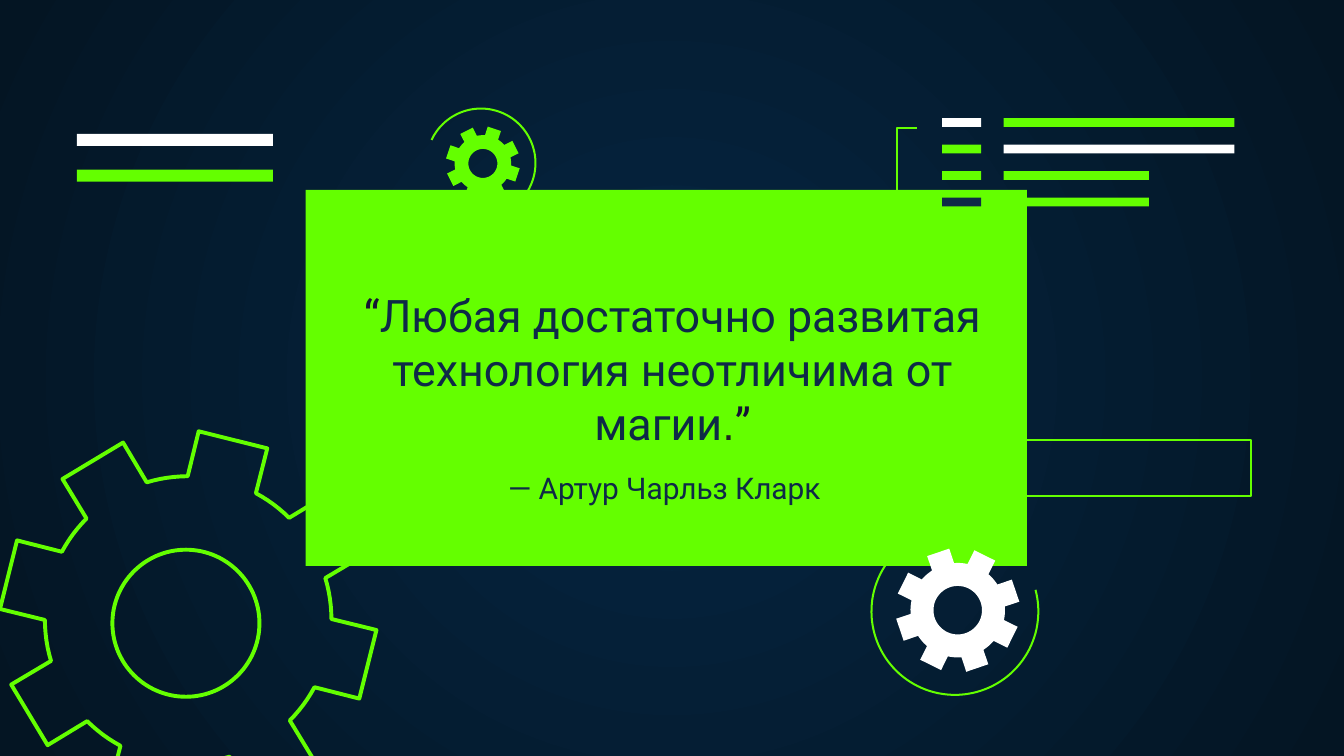
from math import cos, radians, sin

from lxml.etree import SubElement
from pptx import Presentation
from pptx.dml.color import RGBColor
from pptx.enum.shapes import MSO_SHAPE
from pptx.enum.text import MSO_ANCHOR, MSO_AUTO_SIZE, PP_ALIGN
from pptx.oxml.ns import qn
from pptx.util import Pt

GREEN, WHITE, NAVY = "64FF00", "FFFFFF", "0E2A47"
THIN = 1.09


def rgb(code):
    return RGBColor.from_string(code)


def paint(shape, fill=None, line=None, width=THIN):
    shape.shadow.inherit = False
    if fill:
        shape.fill.solid()
        shape.fill.fore_color.rgb = rgb(fill)
    else:
        shape.fill.background()
    if line:
        shape.line.color.rgb = rgb(line)
        shape.line.width = Pt(width)
    else:
        shape.line.fill.background()


def add_rectangle(slide, left, top, width, height, **style):
    rectangle = slide.shapes.add_shape(
        MSO_SHAPE.RECTANGLE, Pt(left), Pt(top), Pt(width), Pt(height))
    paint(rectangle, **style)


def add_outline(slide, contours, close=True, **style):
    """Draw one freeform from contours whose points are in points."""
    contours = [[(Pt(x), Pt(y)) for x, y in contour] for contour in contours]
    builder = slide.shapes.build_freeform(*contours[0][0])
    builder.add_line_segments(contours[0][1:], close=close)
    for contour in contours[1:]:
        builder.move_to(*contour[0])
        builder.add_line_segments(contour[1:], close=close)
    paint(builder.convert_to_shape(), **style)


def arc_points(center, radius, start, end, step=3):
    """Points on a circle; angles are clockwise degrees from the top."""
    count = max(1, round((end - start) / step))
    angles = [radians(start + (end - start) * i / count) for i in range(count + 1)]
    return [(center[0] + radius * sin(a), center[1] - radius * cos(a)) for a in angles]


def add_gear(slide, center, radius, turn, hole_shift=(0, 0), **style):
    """Eight-toothed gear whose first tooth points at the angle turn."""
    rim = []
    for tooth in range(8):
        middle = turn + 45 * tooth
        rim += arc_points(center, radius, middle - 10.8, middle + 10.8, step=30)
        rim += arc_points(center, radius * 0.76, middle + 14.2, middle + 30.8)
    hole_center = (center[0] + hole_shift[0], center[1] + hole_shift[1])
    hole = arc_points(hole_center, radius * 0.39, 0, 357)
    add_outline(slide, [rim, hole], **style)


def add_orbit(slide, center, radius, start, end):
    add_outline(slide, [arc_points(center, radius, start, end)], close=False, line=GREEN)


def add_code_lines(slide, left, top):
    rows = [(WHITE, GREEN, 123.6), (GREEN, WHITE, 123.6),
            (GREEN, GREEN, 77.8), (NAVY, GREEN, 77.8)]
    for row, (label_color, line_color, length) in enumerate(rows):
        y = top + 14.2 * row
        add_rectangle(slide, left, y, 20.9, 4.7, fill=label_color)
        add_rectangle(slide, left + 33, y, length, 4.7, fill=line_color)


def add_bracket(slide, left, top, width, height):
    corners = [(left + width, top + height), (left, top + height),
               (left, top), (left + width, top)]
    add_outline(slide, [corners], close=False, line=GREEN)


def add_double_bar(slide, left, top):
    for row, color in enumerate((WHITE, GREEN)):
        add_rectangle(slide, left, top + 19.1 * row, 105, 6.4, fill=color)


def place_text(placeholder, left, top, width, height, anchor, runs, size):
    """Move a placeholder to the front and fill it with (text, color, font) runs."""
    placeholder.element.getparent().append(placeholder.element)
    placeholder.left, placeholder.top = Pt(left), Pt(top)
    placeholder.width, placeholder.height = Pt(width), Pt(height)
    frame = placeholder.text_frame
    frame.word_wrap = True
    frame.auto_size = MSO_AUTO_SIZE.NONE
    frame.vertical_anchor = anchor
    frame.margin_left = frame.margin_right = Pt(7.2)
    frame.margin_top = frame.margin_bottom = Pt(7.2)
    paragraph = frame.paragraphs[0]
    paragraph.alignment = PP_ALIGN.CENTER
    paragraph.space_before = Pt(0)
    paragraph.font.size = Pt(size)
    for text, color, font in runs:
        run = paragraph.add_run()
        run.text = text
        run.font.name = font
        run.font.color.rgb = rgb(color)


def add_quote(slide, left, top):
    author, quote = slide.placeholders[0], slide.placeholders[1]
    place_text(author, left + 53.3, top + 23.8, 277.9, 152.6, MSO_ANCHOR.BOTTOM,
               [("— Артур Чарльз Кларк", NAVY, "Roboto")], 16)
    place_text(quote, left - 4.3, top + 45.4, 401.8, 111.6, MSO_ANCHOR.TOP,
               [("“", "161234", "Roboto"),
                ("Любая достаточно развитая технология неотличима от магии", NAVY, "Roboto"),
                (".", "202122", "Arial"),
                ("”", "161234", "Roboto")], 24)


def set_radial_background(slide, inner, outer):
    fill = slide.background.fill
    fill.gradient()
    for stop, position, color in zip(fill.gradient_stops, (0, 1), (inner, outer)):
        stop.position = position
        stop.color.rgb = rgb(color)
    gradient = slide.element.find(".//" + qn("a:gradFill"))
    gradient.remove(gradient.find(qn("a:lin")))
    path = SubElement(gradient, qn("a:path"), path="circle")
    SubElement(path, qn("a:fillToRect"), l="50000", t="50000", r="50000", b="50000")


def build_quote_slide(presentation):
    slide = presentation.slides.add_slide(presentation.slide_layouts[0])
    set_radial_background(slide, "052643", "041523")
    add_rectangle(slide, 163.7, 101.7, 386.5, 201.5, fill=GREEN)
    add_orbit(slide, (257.7, 87.4), 29.2, -65, 186)
    add_orbit(slide, (511.6, 327.6), 44.7, 75, 323)
    add_gear(slide, (100.8, 331.9), 101, 14, (-1.2, 2), line=GREEN, width=2.1)
    add_gear(slide, (513.1, 326.9), 33.3, 26.3, fill=WHITE)
    add_gear(slide, (258.7, 87.6), 19.9, 18.4, fill=GREEN)
    add_code_lines(slide, 504.7, 63.3)
    add_bracket(slide, 480.4, 68.5, 11, 43.5)
    add_double_bar(slide, 41.2, 71.8)
    add_rectangle(slide, 518.4, 235.8, 151.9, 30, line=GREEN)
    add_quote(slide, 163.7, 101.7)


def main():
    presentation = Presentation()
    presentation.slide_width, presentation.slide_height = Pt(720), Pt(405)
    build_quote_slide(presentation)
    presentation.save("out.pptx")


if __name__ == "__main__":
    main()
